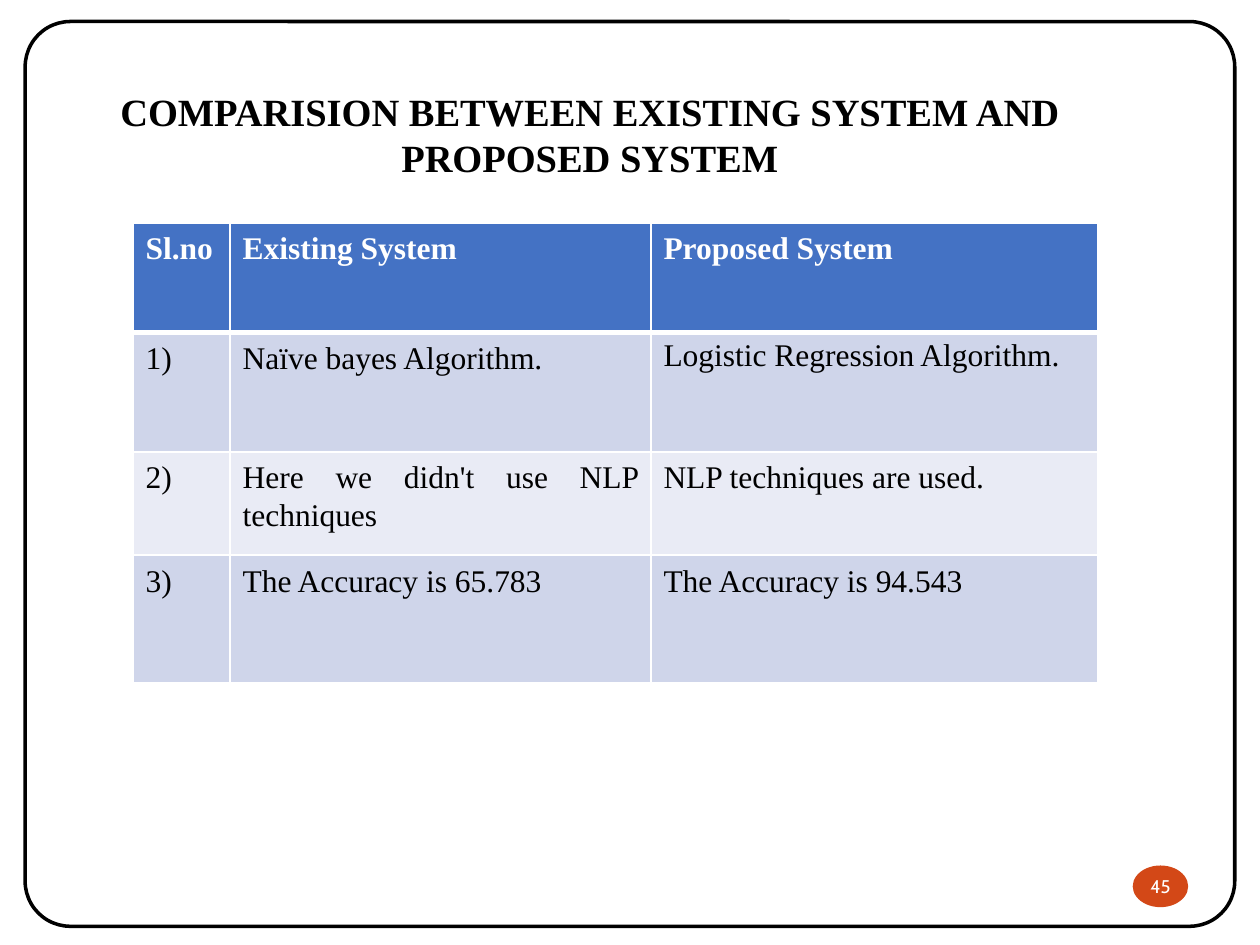
from lxml.etree import SubElement
from pptx import Presentation
from pptx.dml.color import RGBColor
from pptx.enum.shapes import MSO_SHAPE
from pptx.enum.text import MSO_ANCHOR, PP_ALIGN
from pptx.oxml import parse_xml
from pptx.oxml.ns import nsdecls, qn
from pptx.util import Pt


def color(value):
    return RGBColor.from_string(value)


def write(text_frame, text, alignment, font_color, **font_format):
    text_frame.text = text
    paragraph = text_frame.paragraphs[0]
    paragraph.alignment = alignment
    font = paragraph.runs[0].font
    font.color.rgb = color(font_color)
    for name, value in font_format.items():
        setattr(font, name, value)
    return paragraph


presentation = Presentation()
presentation.slide_width, presentation.slide_height = Pt(720), Pt(540)
slide = presentation.slides.add_slide(presentation.slide_layouts[5])

# Title
title = slide.shapes.title
title_place = {"left": 46, "top": 46.8, "width": 582, "height": 60.5}
for name, value in title_place.items():
    setattr(title, name, Pt(value))
title.text_frame.vertical_anchor = MSO_ANCHOR.TOP
write(title.text_frame, "COMPARISION BETWEEN EXISTING SYSTEM AND PROPOSED SYSTEM",
      PP_ALIGN.CENTER, "000000", name="Times New Roman", size=Pt(22), bold=True)

# Comparison table
rows = [
    ("Sl.no", "Existing System", "Proposed System"),
    ("1)", "Naïve bayes Algorithm.", "Logistic Regression Algorithm."),
    ("2)", "Here we didn't use NLP techniques", "NLP techniques are used."),
    ("3)", "The Accuracy is 65.783", "The Accuracy is 94.543"),
]
column_widths = [55.5, 240.5, 255.5]
row_heights = [62.4, 68.4, 59, 72.8]
row_fills = ["4472C4", "CFD5EA", "E9EBF5", "CFD5EA"]
table = slide.shapes.add_table(len(rows), len(column_widths), Pt(76), Pt(127.5),
                               Pt(sum(column_widths)), Pt(sum(row_heights))).table
for column, width in zip(table.columns, column_widths):
    column.width = Pt(width)
for row, height in zip(table.rows, row_heights):
    row.height = Pt(height)

for row_index, texts in enumerate(rows):
    header = row_index == 0
    for column_index, text in enumerate(texts):
        cell = table.cell(row_index, column_index)
        paragraph = write(cell.text_frame, text, PP_ALIGN.JUSTIFY,
                          "FFFFFF" if header else "000000",
                          name="Times New Roman", size=Pt(18), bold=header)
        paragraph.space_after = Pt(8)
        # The logistic regression cell is set in single spacing
        paragraph.line_spacing = 1.0 if (row_index, column_index) == (1, 2) else 1.07

        # White borders, with a thicker rule around the header's lower edge
        properties = cell._tc.get_or_add_tcPr()
        thick_side = {0: "B", 1: "T"}.get(row_index)
        for side in "LRTB":
            line = SubElement(properties, qn(f"a:ln{side}"),
                              w=str(Pt(3 if side == thick_side else 1)))
            line.append(parse_xml(f'<a:solidFill {nsdecls("a")}>'
                                  '<a:srgbClr val="FFFFFF"/></a:solidFill>'))
        cell.fill.solid()
        cell.fill.fore_color.rgb = color(row_fills[row_index])

# Rounded frame
frame = slide.shapes.add_shape(MSO_SHAPE.ROUNDED_RECTANGLE,
                               Pt(14.4), Pt(12.3), Pt(691.2), Pt(517))
frame.adjustments[0] = 0.05
frame.shadow.inherit = False
frame.fill.background()
frame.line.color.rgb = color("000000")
frame.line.width = Pt(2)

# Slide number badge
badge = slide.shapes.add_shape(MSO_SHAPE.OVAL, Pt(647.3), Pt(494.6), Pt(31.7), Pt(23.8))
badge.shadow.inherit = False
badge.fill.solid()
badge.fill.fore_color.rgb = color("D34817")
badge.line.fill.background()
for side in ("left", "top", "right", "bottom"):
    setattr(badge.text_frame, f"margin_{side}", 0)
badge.text_frame.vertical_anchor = MSO_ANCHOR.MIDDLE
write(badge.text_frame, "45", PP_ALIGN.CENTER, "FFFFFF", name="Cabin", size=Pt(10.5))

presentation.save("out.pptx")
